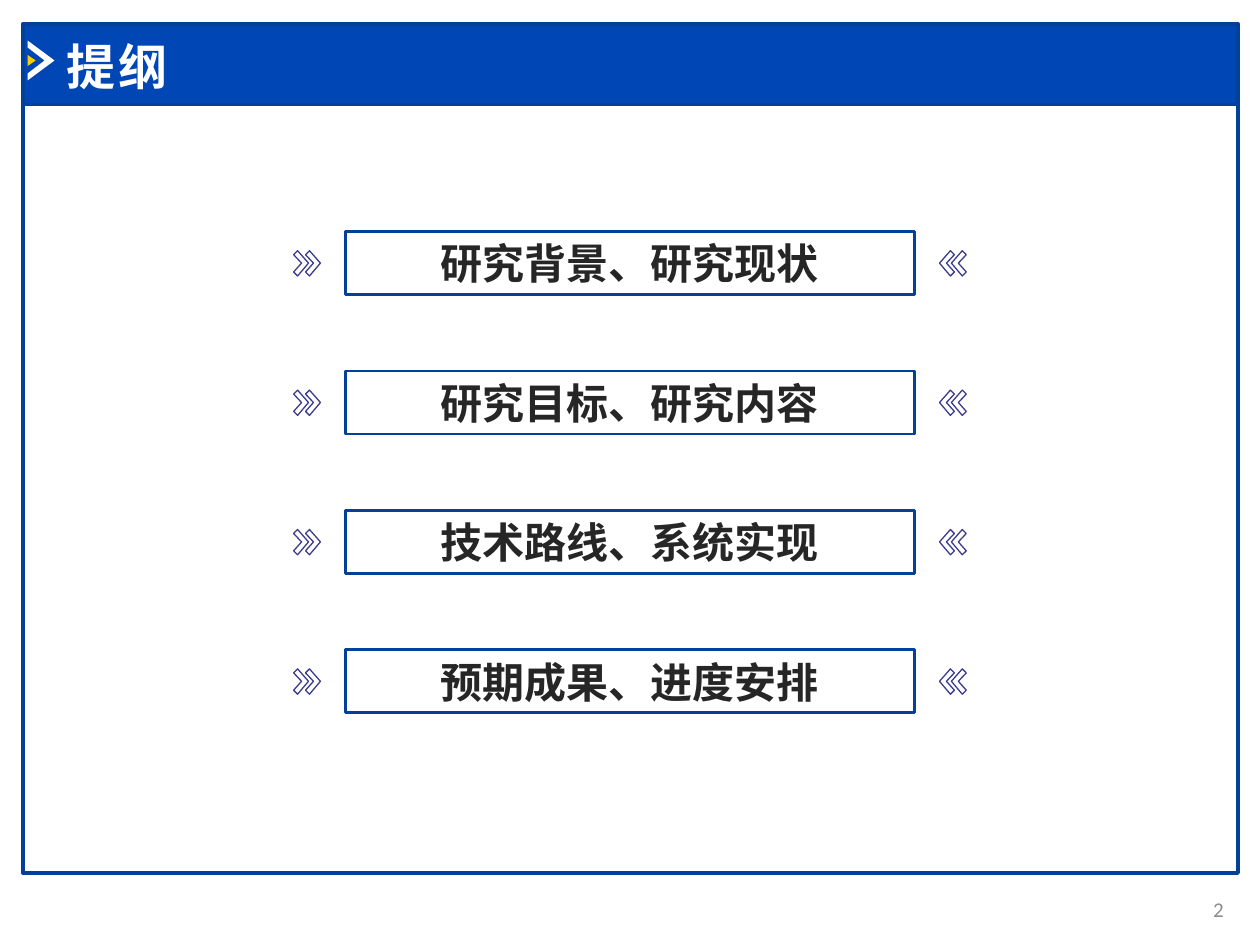
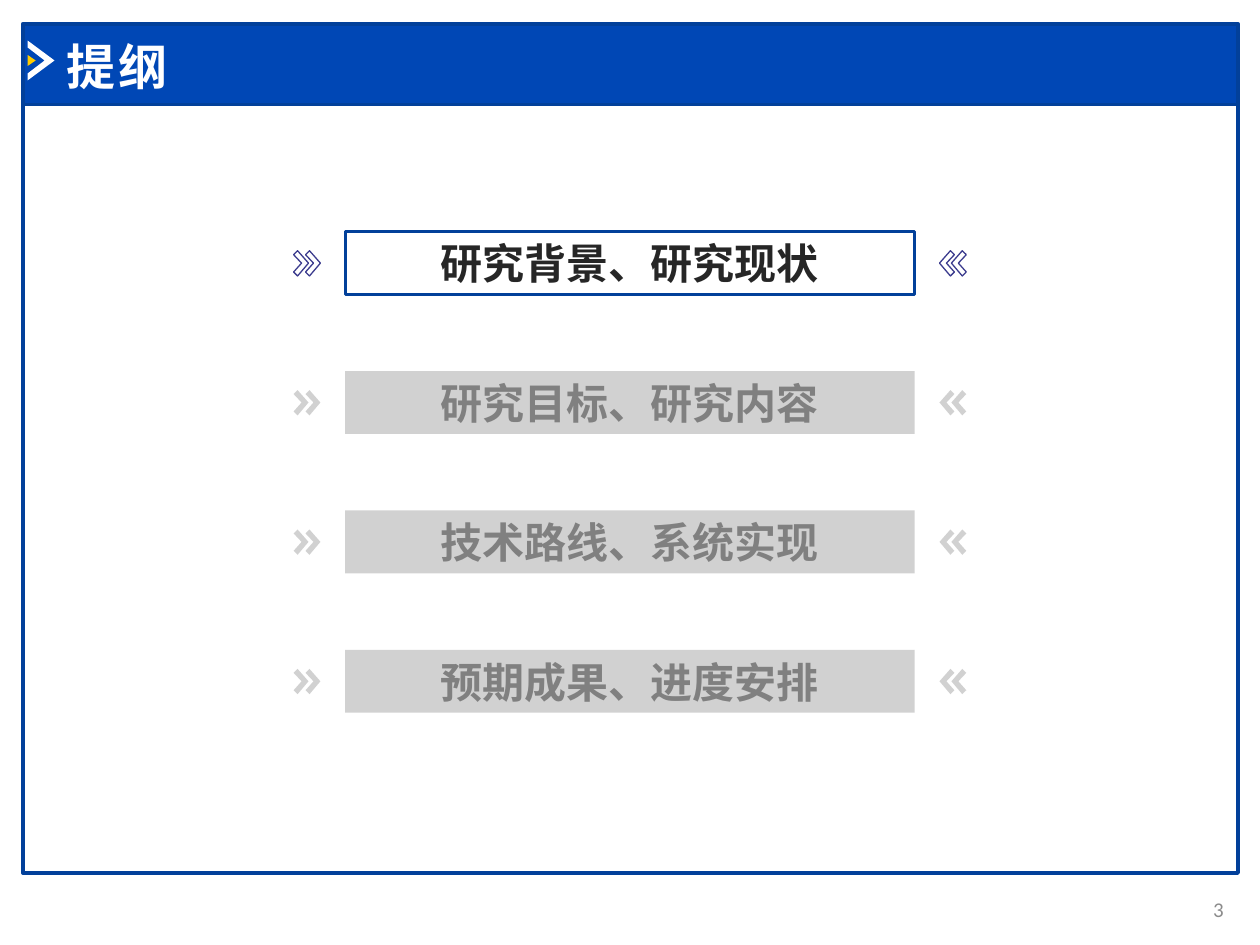
from dataclasses import dataclass

from lxml import etree
from pptx import Presentation
from pptx.dml.color import RGBColor as RGB
from pptx.enum.shapes import MSO_SHAPE as SHAPE
from pptx.enum.text import MSO_ANCHOR as ANCHOR, PP_ALIGN as ALIGN
from pptx.oxml.ns import qn
from pptx.util import Cm, Pt


@dataclass(frozen=True)
class Theme:
    band: str = "0047B5"
    frame: str = "02409A"
    chevron: str = "3C3C8E"
    accent: str = "FFCC00"
    white: str = "FFFFFF"
    ink: str = "262626"
    muted: str = "A5A5A5"
    muted_ink: str = "808080"
    number: str = "8C8C8C"
    latin: str = "Calibri"
    cjk: str = "Noto Sans CJK SC"
    title_size: int = 28
    topic_size: int = 24
    number_size: int = 12


T = Theme()
WIDTH, HEIGHT = 25.4, 19.05

# Boxes in cm: left, top, width, height
HEADER = (0.46, 0.48, 24.5, 1.63)
BODY = (0.46, 2.11, 24.5, 15.49)
NUMBER = (23.42, 17.81, 1.5, 1.02)
TOPIC = (6.96, 4.67, 11.48, 1.27)
TOPIC_PITCH = 2.81

# Outlines in cm
CHEVRON = [(0.08, 0), (0, 0.08), (0.16, 0.25), (0, 0.43), (0.08, 0.51), (0.3, 0.25)]
HEADER_ARROW = [(0, 0), (0, 0.14), (0.34, 0.4), (0, 0.66), (0, 0.8), (0.54, 0.4)]
HEADER_DOT = [(0, 0.29), (0, 0.51), (0.16, 0.4)]

TITLE = "提纲"
TOPICS = ["研究背景、研究现状", "研究目标、研究内容", "技术路线、系统实现", "预期成果、进度安排"]


def paint(sp, fill=None, line=None, width=1.0, alpha=None):
    sp.shadow.inherit = False
    if fill:
        sp.fill.solid()
        sp.fill.fore_color.rgb = RGB.from_string(fill)
        if alpha:
            color = sp.fill._xPr.find(".//" + qn("a:srgbClr"))
            etree.SubElement(color, qn("a:alpha"), val=str(alpha * 1000))
    else:
        sp.fill.background()
    if line:
        sp.line.color.rgb = RGB.from_string(line)
        sp.line.width = Pt(width)
    else:
        sp.line.fill.background()


def add_rect(slide, box, **style):
    sp = slide.shapes.add_shape(SHAPE.RECTANGLE, *map(Cm, box))
    paint(sp, **style)
    return sp


def add_outline(slide, points, **style):
    points = [(Cm(x), Cm(y)) for x, y in points]
    builder = slide.shapes.build_freeform(*points[0])
    builder.add_line_segments(points[1:], close=True)
    paint(builder.convert_to_shape(), **style)


def shift(points, dx, dy):
    return [(x + dx, y + dy) for x, y in points]


def write(sp, text, size, color, font, bold=False, align=ALIGN.LEFT, spacing=0):
    tf = sp.text_frame
    tf.word_wrap = True
    tf.vertical_anchor = ANCHOR.MIDDLE
    p = tf.paragraphs[0]
    p.text = text
    p.alignment = align
    p.font.size = Pt(size)
    p.font.bold = bold
    p.font.color.rgb = RGB.from_string(color)
    p.font.name = font
    # East Asian typeface and letter spacing
    props = p._p.pPr.find(qn("a:defRPr"))
    etree.SubElement(props, qn("a:ea"), typeface=T.cjk)
    if spacing:
        props.set("spc", str(spacing * 100))


def add_header(slide, box, title):
    left, top, width, height = box
    add_rect(slide, box, fill=T.band, line=T.frame, width=2)
    # Arrow mark
    for points, color in ((HEADER_ARROW, T.white), (HEADER_DOT, T.accent)):
        add_outline(slide, shift(points, left + 0.1, top + 0.34), fill=color)
    # Title
    title_box = (left + 0.63, top + 0.13, 21.03, height - 0.18)
    write(slide.shapes.add_textbox(*map(Cm, title_box)), title,
          T.title_size, T.white, T.latin, bold=True, spacing=2)


def add_number(slide, box, number):
    write(slide.shapes.add_textbox(*map(Cm, box)), str(number),
          T.number_size, T.number, T.latin, align=ALIGN.RIGHT)


def add_topic(slide, box, text, active):
    left, top, width, height = box
    if active:
        box_style = dict(line=T.frame, width=1.5)
        mark_style = dict(line=T.chevron, width=0.75)
    else:
        box_style = mark_style = dict(fill=T.muted, alpha=50)
    sp = add_rect(slide, box, **box_style)
    sp.text_frame.margin_top = sp.text_frame.margin_bottom = 0
    write(sp, text, T.topic_size, T.ink if active else T.muted_ink, T.cjk,
          bold=True, align=ALIGN.CENTER)
    # Double chevrons, mirrored about the middle of the box
    for step in (0, 0.24):
        points = shift(CHEVRON, left - 1.04 + step, top + height / 2 - 0.25)
        add_outline(slide, points, **mark_style)
        mirrored = [(2 * left + width - x, y) for x, y in points]
        add_outline(slide, mirrored, **mark_style)


def add_agenda(prs, number, active_topics):
    slide = prs.slides.add_slide(prs.slide_layouts[6])
    add_rect(slide, BODY, line=T.frame, width=2)
    add_header(slide, HEADER, TITLE)
    add_number(slide, NUMBER, number)
    left, top, width, height = TOPIC
    for i, text in enumerate(TOPICS):
        row = (left, top + i * TOPIC_PITCH, width, height)
        add_topic(slide, row, text, text in active_topics)


def main():
    prs = Presentation()
    prs.slide_width, prs.slide_height = Cm(WIDTH), Cm(HEIGHT)
    for number, active_topics in enumerate((TOPICS, TOPICS[:1]), start=2):
        add_agenda(prs, number, active_topics)
    prs.save("out.pptx")


if __name__ == "__main__":
    main()
